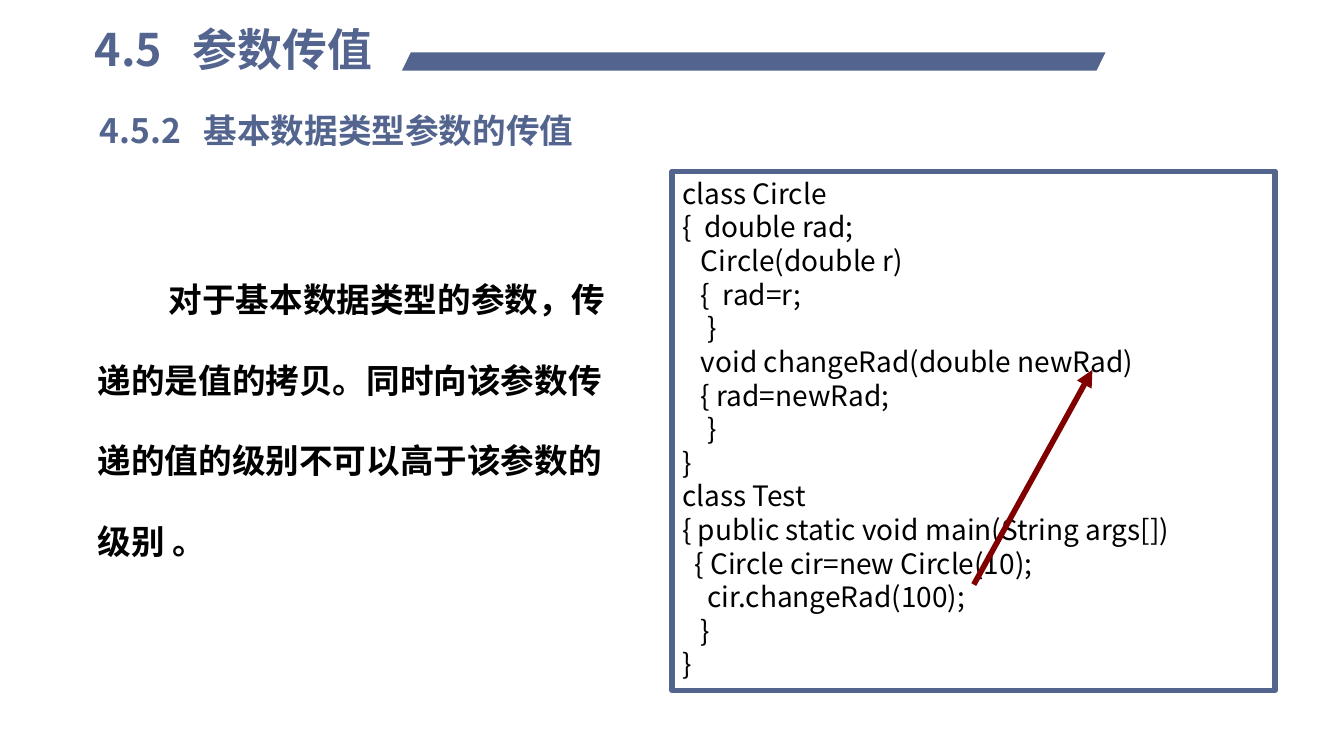
"""Build the slide on passing parameters of basic data types."""
import pptx
import pptx.dml.color
import pptx.enum.shapes
import pptx.enum.text
import pptx.oxml
import pptx.oxml.ns
import pptx.util

Cm = pptx.util.Cm
Pt = pptx.util.Pt
qn = pptx.oxml.ns.qn
SHAPE = pptx.enum.shapes.MSO_SHAPE
ANCHOR = pptx.enum.text.MSO_ANCHOR
FONT = "Noto Sans CJK SC"
COLORS = {"accent": "53648F", "text": "000000", "paper": "FFFFFF", "arrow": "800000"}
CODE = """class Circle
{  double rad;
   Circle(double r)
   {  rad=r;
    }
   void changeRad(double newRad)
   { rad=newRad;
    }
}
class Test
{ public static void main(String args[])
  { Circle cir=new Circle(10);
    cir.changeRad(100);
   }
}"""


def rgb(name):
    """Return the named colour."""
    return pptx.dml.color.RGBColor.from_string(COLORS[name])


def place(sp, x, y, w, h):
    """Move a shape into a box given in centimetres."""
    sp.left, sp.top, sp.width, sp.height = Cm(x), Cm(y), Cm(w), Cm(h)


def write(sp, text, size, color, bold=False, anchor=ANCHOR.TOP):
    """Fill a shape with left-aligned text in the slide font."""
    tf = sp.text_frame
    tf.text = text
    tf.word_wrap = True
    tf.auto_size = pptx.enum.text.MSO_AUTO_SIZE.NONE
    tf.vertical_anchor = anchor
    for p in tf.paragraphs:
        p.alignment = pptx.enum.text.PP_ALIGN.LEFT
        for r in p.runs:
            r.font.name = FONT
            r.font.size = Pt(size)
            r.font.bold = bold
            r.font.color.rgb = rgb(color)
            ea = pptx.oxml.parse_xml(
                f'<a:ea {pptx.oxml.ns.nsdecls("a")} typeface="{FONT}"/>')
            r.font._element.find(qn("a:latin")).addnext(ea)
    return tf


def add_heading(s, x, y, w, h):
    """Place the section title, its bar and the subsection title."""
    title_w = 8.94
    place(s.shapes.title, x, y, title_w, 1.63)
    write(s.shapes.title, "4.5   参数传值", 32, "accent", True)
    bar_x = x + 8
    bar = s.shapes.add_shape(SHAPE.PARALLELOGRAM, Cm(bar_x), Cm(y + 0.91),
                             Cm(x + w - bar_x), Cm(0.46))
    bar.adjustments[0] = 0.49
    bar.shadow.inherit = False
    bar.fill.solid()
    bar.fill.fore_color.rgb = rgb("accent")
    bar.line.fill.background()
    sub_h = 1.27
    sub = s.shapes.add_textbox(Cm(x + 0.13), Cm(y + h - sub_h), Cm(13.87), Cm(sub_h))
    write(sub, "4.5.2   基本数据类型参数的传值", 24, "accent", True)


def add_explanation(s, x, y, w, h):
    """Place the explanatory paragraph in the body placeholder."""
    sp = s.placeholders[1]
    place(sp, x, y, w, h)
    tf = write(sp, "对于基本数据类型的参数，传递的是值的拷贝。"
               "同时向该参数传递的值的级别不可以高于该参数的级别 。", 24, "text", True)
    p = tf.paragraphs[0]
    p.line_spacing = 2.0
    p.space_before, p.space_after = Pt(12), Pt(2)
    pPr = p._p.get_or_add_pPr()
    pPr.set("marL", "0")
    pPr.set("indent", str(Cm(1.79)))
    pPr.append(pptx.oxml.parse_xml(f'<a:buNone {pptx.oxml.ns.nsdecls("a")}/>'))


def add_code(s, x, y, w, h):
    """Place the framed listing and the arrow from argument to parameter."""
    frame = s.shapes.add_shape(SHAPE.RECTANGLE, Cm(x), Cm(y), Cm(w), Cm(h))
    frame.shadow.inherit = False
    frame.fill.solid()
    frame.fill.fore_color.rgb = rgb("paper")
    frame.line.color.rgb = rgb("accent")
    frame.line.width = Pt(4)
    write(frame, CODE, 20, "text")
    arrow = s.shapes.add_connector(
        pptx.enum.shapes.MSO_CONNECTOR.STRAIGHT,
        Cm(x + 7.6), Cm(y + 10.41), Cm(x + 10.59), Cm(y + 5))
    arrow.line.color.rgb = rgb("arrow")
    arrow.line.width = Pt(4)
    ns = pptx.oxml.ns.nsdecls("a")
    arrow.line._get_or_add_ln().append(
        pptx.oxml.parse_xml(f'<a:tailEnd {ns} type="triangle"/>'))
    arrow._element.spPr.append(pptx.oxml.parse_xml(f"<a:effectLst {ns}/>"))


def main():
    """Create and save the presentation."""
    prs = pptx.Presentation()
    prs.slide_width, prs.slide_height = Cm(33.87), Cm(19.05)
    s = prs.slides.add_slide(prs.slide_layouts[1])
    add_heading(s, 2.13, 0.41, 25.73, 3.5)
    add_explanation(s, 2.21, 5.89, 13.79, 7.16)
    add_code(s, 16.94, 4.32, 15.19, 13.08)
    prs.save("out.pptx")


if __name__ == "__main__":
    main()
